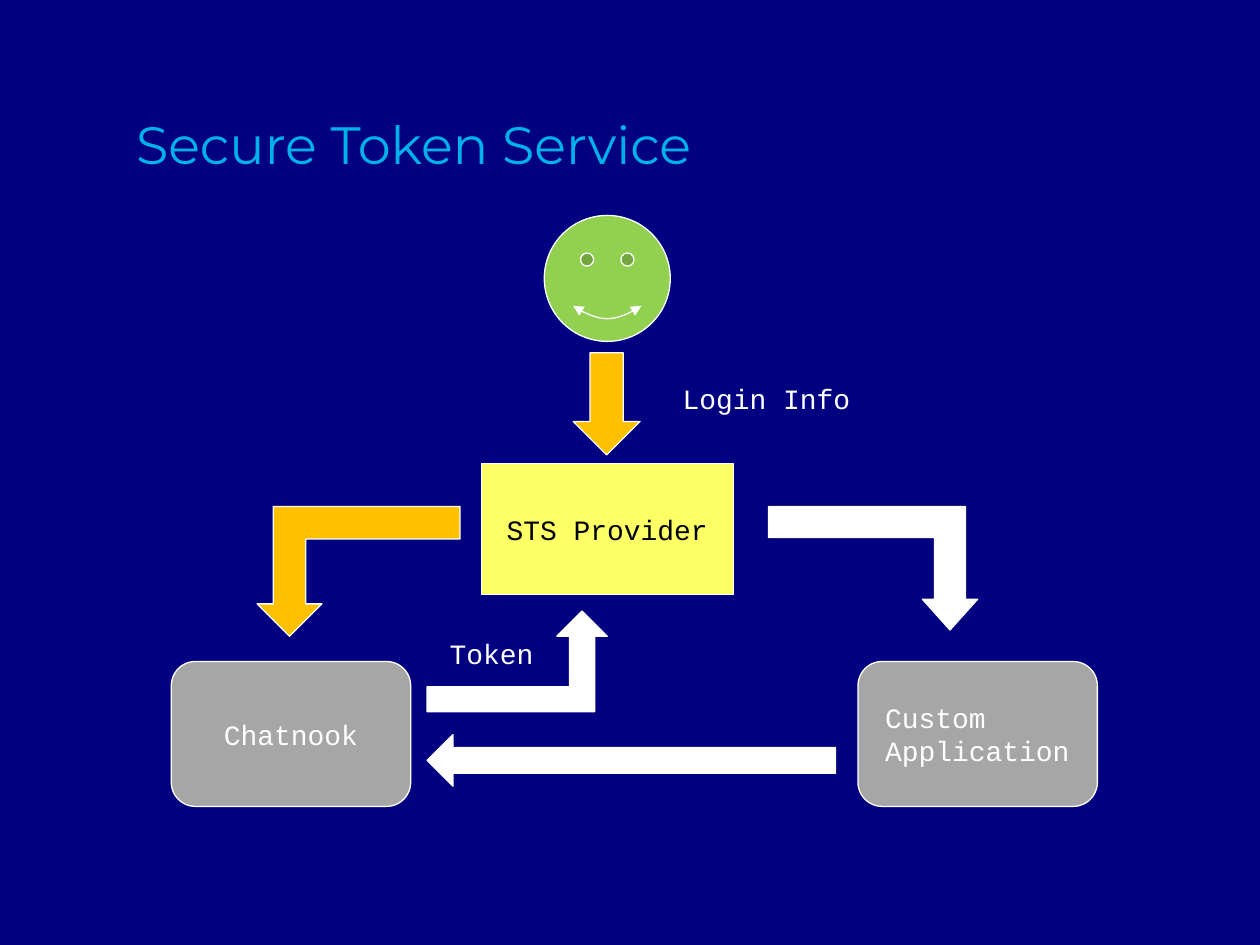
from lxml import etree
from pptx import Presentation, util as u
from pptx.dml.color import RGBColor
from pptx.enum import shapes, text
from pptx.oxml.ns import qn

NAVY = RGBColor(0x00, 0x00, 0x80)
SKY = RGBColor(0x00, 0xB0, 0xEB)
GREEN = RGBColor(0x92, 0xD0, 0x50)
YELLOW = RGBColor(0xFF, 0xFF, 0x66)
AMBER = RGBColor(0xFF, 0xC0, 0x00)
GRAY = RGBColor(0xA6, 0xA6, 0xA6)
WHITE = RGBColor(0xFF, 0xFF, 0xFF)
BLACK = RGBColor(0x00, 0x00, 0x00)

CELL = u.Inches(0.1)  # the slide is a grid of 100 columns by 75 rows
KIND = shapes.MSO_SHAPE
ALIGN = text.PP_ALIGN


def grid(*cells):
    """Turn columns and rows into lengths."""
    return [round(cell * CELL) for cell in cells]


def write(frame, words, color, size=16, font="Courier New", align=ALIGN.LEFT):
    frame.text = words
    paragraph = frame.paragraphs[0]
    paragraph.alignment = align
    style = {"name": font, "size": u.Pt(size), "bold": False}
    for key, value in style.items():
        setattr(paragraph.font, key, value)
    paragraph.font.color.rgb = color


def add_title(slide, words):
    title = slide.shapes.title
    title.left, title.top, title.width, title.height = grid(9.8, 1.4, 80.6, 13)
    title.text_frame.vertical_anchor = text.MSO_ANCHOR.BOTTOM
    write(title.text_frame, words, SKY, size=30, font="Montserrat")


def add_figure(slide, kind, cells, fill, rotation=0):
    figure = slide.shapes.add_shape(kind, *grid(*cells))
    figure.shadow.inherit = False
    figure.fill.solid()
    figure.fill.fore_color.rgb = fill
    figure.line.color.rgb = WHITE
    figure.line.width = u.Pt(0.75)
    figure.rotation = rotation
    return figure


def add_party(slide, kind, cells, fill, words, color, align=ALIGN.CENTER, indent=1):
    frame = add_figure(slide, kind, cells, fill).text_frame
    layout = {"word_wrap": True, "vertical_anchor": text.MSO_ANCHOR.MIDDLE,
              "margin_left": round(indent * CELL)}
    for key, value in layout.items():
        setattr(frame, key, value)
    write(frame, words, color, align=align)


def add_label(slide, cells, words):
    frame = slide.shapes.add_textbox(*grid(*cells)).text_frame
    frame.word_wrap = False
    write(frame, words, WHITE)


def add_user(slide):
    user = add_figure(slide, KIND.SMILEY_FACE, (43.2, 17.1, 10, 10), GREEN)
    outline = user.line._get_or_add_ln()
    for end in ("a:headEnd", "a:tailEnd"):  # arrowheads on the smile
        etree.SubElement(outline, qn(end), type="triangle")


def main():
    deck = Presentation()
    deck.slide_width, deck.slide_height = grid(100, 75)
    slide = deck.slides.add_slide(deck.slide_layouts[5])
    slide.background.fill.solid()
    slide.background.fill.fore_color.rgb = NAVY
    add_title(slide, "Secure Token Service")

    # User, provider and the two applications
    add_user(slide)
    add_party(slide, KIND.RECTANGLE, (38.2, 36.8, 20, 10.4), YELLOW,
              "STS Provider", BLACK)
    app_row, app_size = 52.5, (19, 11.5)
    add_party(slide, KIND.ROUNDED_RECTANGLE, (13.6, app_row, *app_size), GRAY,
              "Chatnook", WHITE)
    add_party(slide, KIND.ROUNDED_RECTANGLE, (68.1, app_row, *app_size), GRAY,
              "Custom Application", WHITE, align=ALIGN.LEFT, indent=1.6)

    # Login path
    add_figure(slide, KIND.DOWN_ARROW, (45.5, 28, 5.3, 8.1), AMBER)
    add_label(slide, (53.2, 29.8, 15.5, 3.7), "Login Info")
    add_figure(slide, KIND.BENT_UP_ARROW, (20.4, 40.2, 16.1, 10.3), AMBER, 180)

    # Token path
    add_figure(slide, KIND.BENT_UP_ARROW, (33.9, 48.5, 14.3, 8), WHITE)
    add_label(slide, (34.7, 50, 8.8, 3.7), "Token")
    to_custom = add_figure(slide, KIND.BENT_UP_ARROW, (61, 40.2, 16.6, 9.8),
                           WHITE, 180)
    to_custom.adjustments[1] = 0.224
    to_custom.element.spPr.xfrm.set("flipH", "1")
    add_figure(slide, KIND.LEFT_ARROW, (33.9, 58.3, 32.4, 4.1), WHITE)

    deck.save("out.pptx")


if __name__ == "__main__":
    main()
